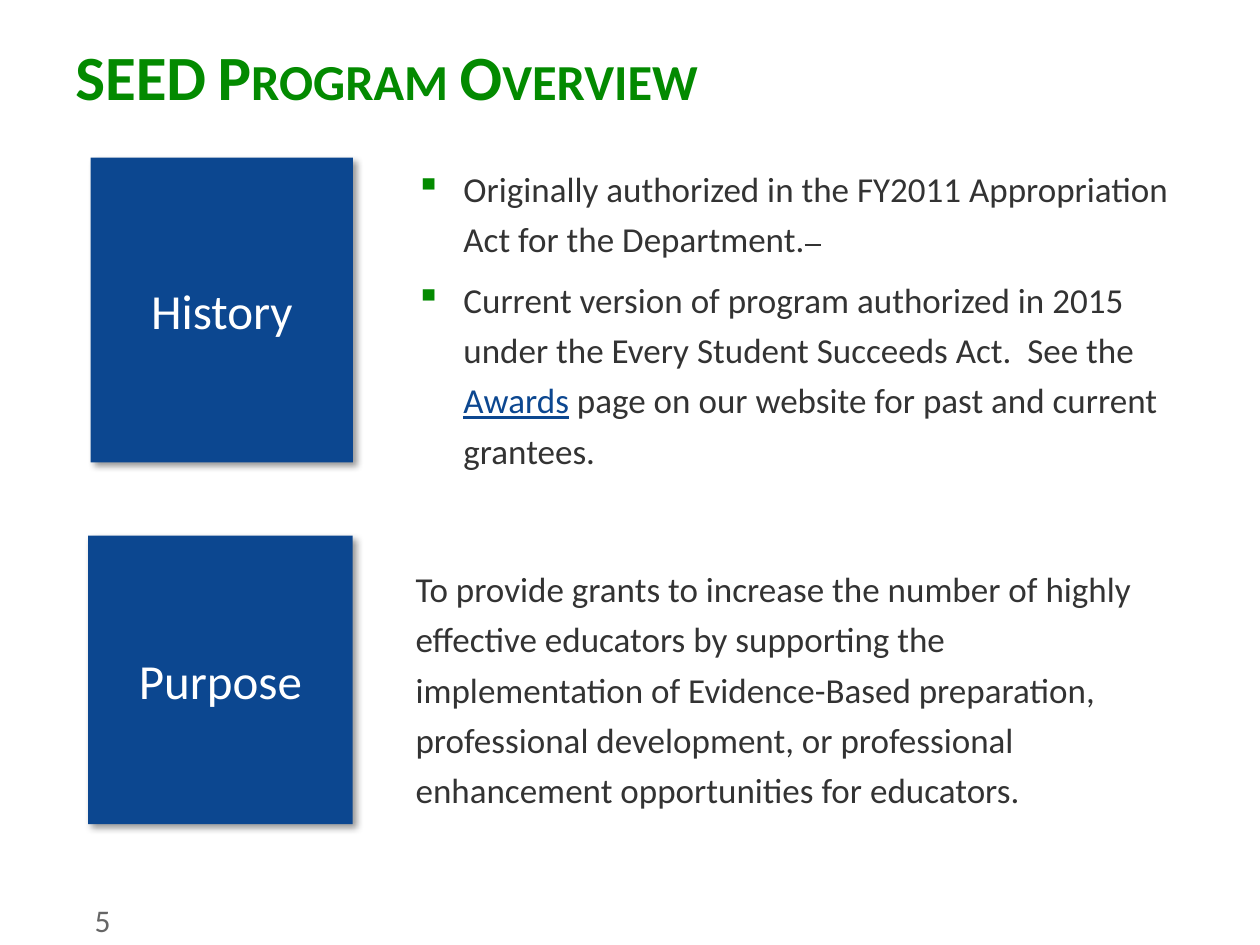
from dataclasses import dataclass

from lxml.etree import SubElement
from pptx import Presentation
from pptx.dml.color import RGBColor
from pptx.enum.shapes import MSO_SHAPE
from pptx.enum.text import MSO_ANCHOR, PP_ALIGN
from pptx.oxml.ns import qn
from pptx.util import Inches, Pt


@dataclass(frozen=True)
class Theme:
    font: str = "Calibri"
    green: str = "038A00"
    blue: str = "0C4790"
    ink: str = "333333"
    grey: str = "666666"
    white: str = "FFFFFF"
    title_size: int = 36
    label_size: int = 28
    body_size: int = 20
    number_size: int = 18
    line_spacing: float = 1.2
    paragraph_gap: float = 5.8


THEME = Theme()
TEXT_LEFT = 3.2
LABEL_RIGHT = 2.8

HISTORY = [
    [("Originally authorized in the FY2011 Appropriation Act for the Department.", ""),
     ("  ", "strike")],
    [("Current version of program authorized in 2015 under the Every Student "
      "Succeeds Act.  See the ", ""),
     ("Awards", "link"),
     (" page on our website for past and current grantees.", "")],
]
PURPOSE = [
    [("To provide grants to increase the number of highly effective educators by "
      "supporting the implementation of Evidence-Based preparation, professional "
      "development, or professional enhancement opportunities for educators.", "")],
]


def add_span(para, text, size, color):
    span = para.add_run()
    span.text = text
    span.font.name = THEME.font
    span.font.size = Pt(size)
    span.font.color.rgb = RGBColor.from_string(color)
    return span


def add_box(page, left, top, width, height):
    box = page.shapes.add_textbox(Inches(left), Inches(top), Inches(width), Inches(height))
    box.text_frame.word_wrap = True
    return box.text_frame


def add_title(page, text):
    frame = add_box(page, 0.5, 0.25, 9, 0.62)
    span = add_span(frame.paragraphs[0], text, THEME.title_size, THEME.green)
    span.font.bold = True
    span.font._element.set("cap", "small")


def add_page_number(page, text):
    frame = add_box(page, 0.75, 7.1, 0.58, 0.4)
    frame.margin_left = frame.margin_right = 0
    add_span(frame.paragraphs[0], text, THEME.number_size, THEME.grey)


def add_shadow(shape):
    effects = SubElement(shape._element.spPr, qn("a:effectLst"))
    shadow = SubElement(effects, qn("a:outerShdw"), blurRad=str(Pt(4)), dist=str(Pt(3)),
                        dir=str(45 * 60000), algn="tl", rotWithShape="0")
    color = SubElement(shadow, qn("a:srgbClr"), val="000000")
    SubElement(color, qn("a:alpha"), val="40000")


def add_label(page, text, left, top, height):
    tile = page.shapes.add_shape(MSO_SHAPE.RECTANGLE, Inches(left), Inches(top),
                                 Inches(LABEL_RIGHT - left), Inches(height))
    tile.fill.solid()
    tile.fill.fore_color.rgb = RGBColor.from_string(THEME.blue)
    tile.line.fill.background()
    add_shadow(tile)
    frame = tile.text_frame
    frame.vertical_anchor = MSO_ANCHOR.MIDDLE
    para = frame.paragraphs[0]
    para.alignment = PP_ALIGN.CENTER
    add_span(para, text, THEME.label_size, THEME.white)


def add_bullet(para):
    properties = para._p.get_or_add_pPr()
    properties.set("marL", str(Inches(0.38)))
    properties.set("indent", str(Inches(-0.38)))
    color = SubElement(properties, qn("a:buClr"))
    SubElement(color, qn("a:srgbClr"), val=THEME.green)
    SubElement(properties, qn("a:buChar"), char="▪")


def add_body(page, paragraphs, top, width, height, bulleted=False):
    frame = add_box(page, TEXT_LEFT, top, width, height)
    frame.vertical_anchor = MSO_ANCHOR.MIDDLE
    frame.margin_top = Inches(0.13)
    for index, spans in enumerate(paragraphs):
        para = frame.add_paragraph() if index else frame.paragraphs[0]
        if bulleted:
            add_bullet(para)
        para.line_spacing = THEME.line_spacing
        if index:
            para.space_before = Pt(THEME.paragraph_gap)
        for text, style in spans:
            color = THEME.blue if style == "link" else THEME.ink
            span = add_span(para, text, THEME.body_size, color)
            if style == "link":
                span.font.underline = True
            elif style == "strike":
                span.font._element.set("strike", "sngStrike")


def main():
    deck = Presentation()
    deck.slide_width, deck.slide_height = Inches(10), Inches(7.5)
    page = deck.slides.add_slide(deck.slide_layouts[6])

    add_title(page, "SEED Program Overview")

    # History row
    add_label(page, "History", 0.72, 1.25, 2.42)
    add_body(page, HISTORY, 1.25, 6.3, 2.42, bulleted=True)

    # Purpose row
    add_label(page, "Purpose", 0.7, 4.25, 2.29)
    add_body(page, PURPOSE, 4.25, 6.05, 2.29)

    add_page_number(page, "5")
    deck.save("out.pptx")


if __name__ == "__main__":
    main()
